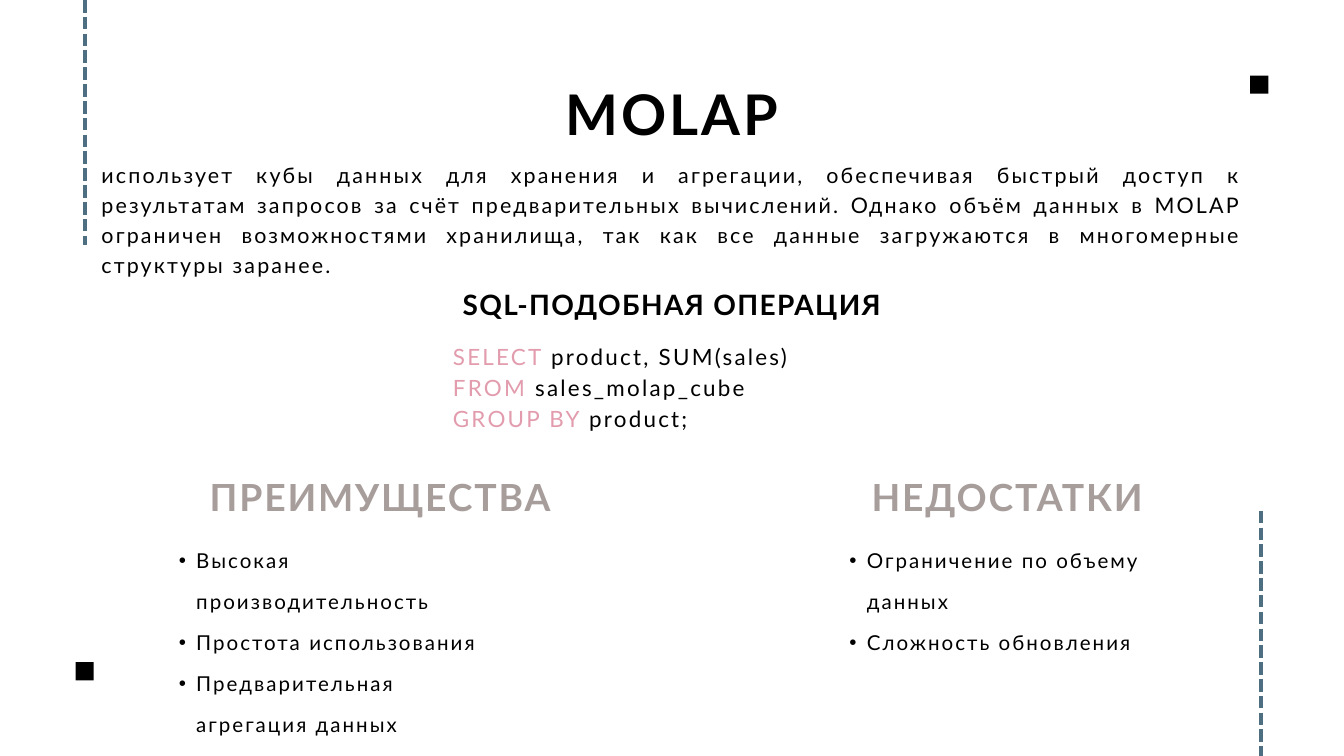
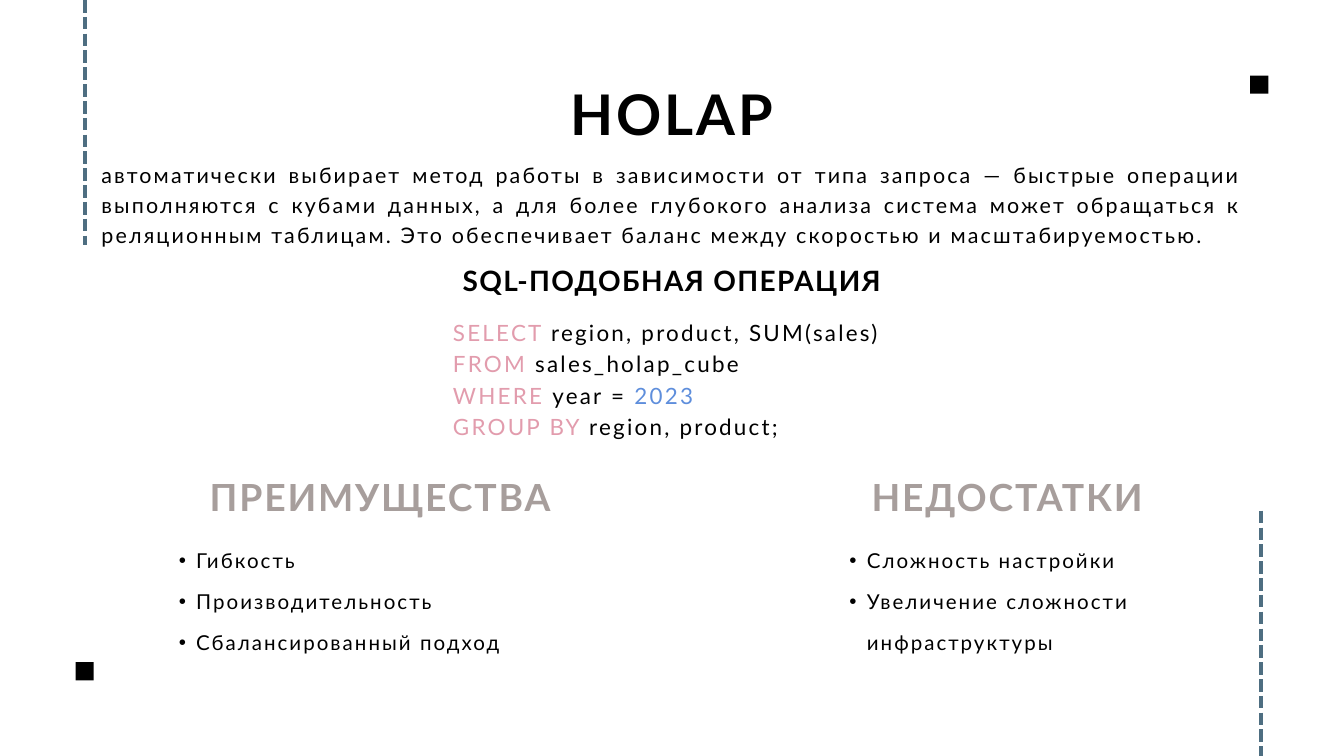
import pptx
import pptx.util
from pptx.dml.color import RGBColor
from pptx.enum.dml import MSO_LINE
from pptx.enum.shapes import MSO_CONNECTOR, MSO_SHAPE
from pptx.enum.text import MSO_AUTO_SIZE, PP_ALIGN
from pptx.oxml.ns import qn
from lxml import etree

WIDTH, HEIGHT = pptx.util.Inches(20), pptx.util.Inches(11.25)
FONT = "Lato"
COLORS = {
    "text": "000000",
    "heading": "A79E9C",
    "keyword": "E29CAD",
    "number": "5E8EDC",
    "dash": "4E6E81",
}
CODE_COLORS = ("keyword", "text", "number")
MARGIN, FULL = 7.55, 84.9
LEFT_COLUMN, RIGHT_COLUMN, LIST_WIDTH = 12, 61.9, 26.1

SLIDES = [
    {
        "title": "MOLAP",
        "summary": "использует кубы данных для хранения и агрегации, обеспечивая быстрый "
                   "доступ к результатам запросов за счёт предварительных вычислений. Однако "
                   "объём данных в MOLAP ограничен возможностями хранилища, так как все данные "
                   "загружаются в многомерные структуры заранее.",
        "summary_height": 15.56,
        "query_top": 37.24,
        "query": [("SELECT ", "product, SUM(sales)"),
                  ("FROM ", "sales_molap_cube"),
                  ("GROUP BY ", "product;")],
        "query_size": (25.8, 12.09),
        "advantages": ["Высокая производительность", "Простота использования",
                       "Предварительная агрегация данных"],
        "advantages_height": 26.31,
        "drawbacks": ["Ограничение по объему данных", "Сложность обновления"],
    },
    {
        "title": "HOLAP",
        "summary": "автоматически выбирает метод работы в зависимости от типа запроса — быстрые "
                   "операции выполняются с кубами данных, а для более глубокого анализа система "
                   "может обращаться к реляционным таблицам. Это обеспечивает баланс между "
                   "скоростью и масштабируемостью.",
        "summary_height": 11.64,
        "query_top": 34.13,
        "query": [("SELECT ", "region, product, SUM(sales)"),
                  ("FROM ", "sales_holap_cube"),
                  ("WHERE ", "year = ", "2023"),
                  ("GROUP BY ", "region, product;")],
        "query_size": (32.55, 16.18),
        "advantages": ["Гибкость", "Производительность", "Сбалансированный подход"],
        "advantages_height": 15.64,
        "drawbacks": ["Сложность настройки", "Увеличение сложности инфраструктуры"],
    },
]


def x(percent):
    return round(WIDTH * percent / 100)


def y(percent):
    return round(HEIGHT * percent / 100)


def rgb(name):
    return RGBColor.from_string(COLORS[name])


def add_text(slide, box, lines, size, align=None, bold=False, leading=1.4):
    """Write lines, each a list of (text, colour name) runs, into a box given in percent."""
    left, top, width, height = box
    frame = slide.shapes.add_textbox(x(left), y(top), x(width), y(height)).text_frame
    frame.margin_left = frame.margin_top = frame.margin_right = frame.margin_bottom = 0
    frame.word_wrap = True
    frame.auto_size = MSO_AUTO_SIZE.SHAPE_TO_FIT_TEXT
    tracking = 0.05 if bold else 0.1
    for index, line in enumerate(lines):
        paragraph = frame.add_paragraph() if index else frame.paragraphs[0]
        paragraph.alignment = align
        paragraph.line_spacing = pptx.util.Pt(size * leading)
        for text, color in line:
            run = paragraph.add_run()
            run.text = text
            run.font.name = FONT
            run.font.size = pptx.util.Pt(size)
            run.font.bold = bold
            run.font.color.rgb = rgb(color)
            run.font._element.set("spc", str(round(size * tracking * 100)))
    return frame


def add_heading(slide, box, text, size, color="text"):
    add_text(slide, box, [[(text, color)]], size, PP_ALIGN.CENTER, bold=True)


def add_bullets(slide, left, height, items):
    frame = add_text(slide, (left, 70.31, LIST_WIDTH, height),
                     [[(item, "text")] for item in items], 22, leading=2)
    indent = pptx.util.Inches(0.26)
    for paragraph in frame.paragraphs:
        paragraph.level = 1
        properties = paragraph._p.get_or_add_pPr()
        properties.set("marL", str(2 * indent))
        properties.set("indent", str(-indent))
        etree.SubElement(properties, qn("a:buFont")).set("typeface", "Arial")
        etree.SubElement(properties, qn("a:buChar")).set("char", "•")


def add_square(slide, center_x, center_y):
    side = pptx.util.Inches(0.27)
    square = slide.shapes.add_shape(MSO_SHAPE.RECTANGLE, x(center_x) - side // 2,
                                    y(center_y) - side // 2, side, side)
    square.shadow.inherit = False
    square.fill.solid()
    square.fill.fore_color.rgb = rgb("text")
    square.line.fill.background()


def add_dashes(slide, column, top, bottom):
    dashes = slide.shapes.add_connector(MSO_CONNECTOR.STRAIGHT, x(column), y(top),
                                        x(column), y(bottom))
    dashes.line.color.rgb = rgb("dash")
    dashes.line.width = pptx.util.Pt(4.5)
    dashes.line.dash_style = MSO_LINE.SQUARE_DOT
    etree.SubElement(dashes._element.spPr, qn("a:effectLst"))


def add_decoration(slide):
    add_square(slide, 6.3, 88.8)
    add_square(slide, 93.7, 11.2)
    add_dashes(slide, 6.3, 0, 32.44)
    add_dashes(slide, 93.85, 67.56, 100)


def add_query(slide, content):
    top = content["query_top"]
    add_heading(slide, (MARGIN, top, FULL, 5.42), "SQL-ПОДОБНАЯ ОПЕРАЦИЯ", 30)
    add_text(slide, (33.7, top + 7.5, *content["query_size"]),
             [list(zip(line, CODE_COLORS)) for line in content["query"]], 24)


def add_olap_slide(presentation, content):
    slide = presentation.slides.add_slide(presentation.slide_layouts[6])
    add_decoration(slide)
    add_heading(slide, (MARGIN, 8.98, FULL, 10.49), content["title"], 60)
    add_text(slide, (MARGIN, 20.8, FULL, content["summary_height"]),
             [[(content["summary"], "text")]], 23, PP_ALIGN.JUSTIFY)
    add_query(slide, content)
    add_heading(slide, (LEFT_COLUMN, 61.69, 32.6, 6.84), "ПРЕИМУЩЕСТВА", 40, "heading")
    add_bullets(slide, LEFT_COLUMN, content["advantages_height"], content["advantages"])
    add_heading(slide, (RIGHT_COLUMN, 61.78, LIST_WIDTH, 6.76), "НЕДОСТАТКИ", 40, "heading")
    add_bullets(slide, RIGHT_COLUMN, 15.64, content["drawbacks"])


def main():
    presentation = pptx.Presentation()
    presentation.slide_width, presentation.slide_height = WIDTH, HEIGHT
    for content in SLIDES:
        add_olap_slide(presentation, content)
    presentation.save("out.pptx")


if __name__ == "__main__":
    main()
